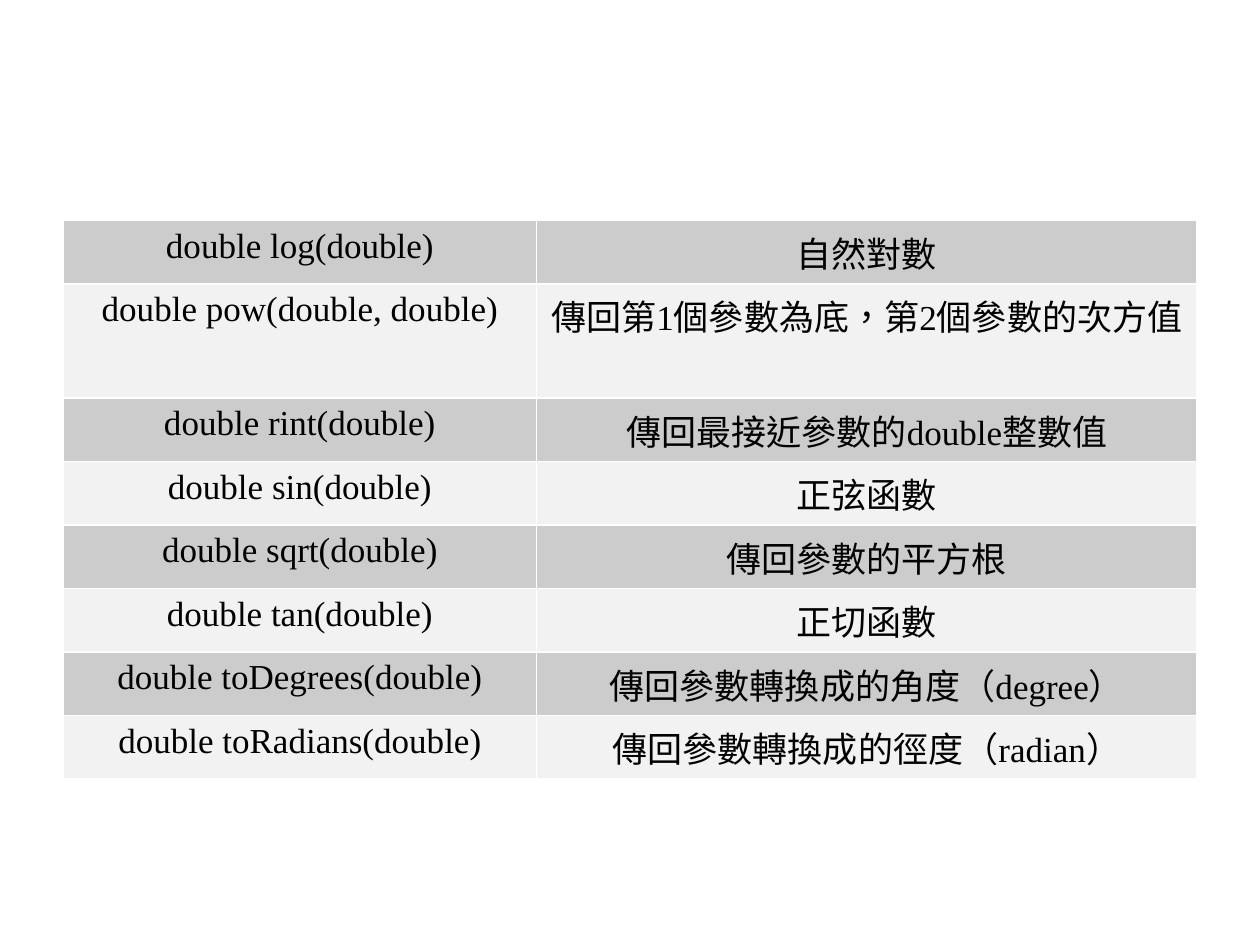
from dataclasses import dataclass

from lxml import etree
from pptx import Presentation
from pptx import oxml
from pptx import util as u
from pptx.dml.color import RGBColor
from pptx.enum import lang, text


@dataclass(frozen=True)
class Theme:
    font: str = "Times New Roman"
    size: float = 20
    ink: str = "000000"
    bands: tuple = ("CCCCCC", "F2F2F2")
    rule: str = "FFFFFF"
    rule_width: float = 0.96


THEME = Theme()
COLUMN_WIDTHS = (3.76, 5.24)
LINE_HEIGHT = 0.44
WRAPPED_HEIGHT = 0.77
HANGING = 0.38
METHODS = (
    ("double log(double)", "自然對數"),
    ("double pow(double, double)", "傳回第1個參數為底，第2個參數的次方值"),
    ("double rint(double)", "傳回最接近參數的double整數值"),
    ("double sin(double)", "正弦函數"),
    ("double sqrt(double)", "傳回參數的平方根"),
    ("double tan(double)", "正切函數"),
    ("double toDegrees(double)", "傳回參數轉換成的角度（degree）"),
    ("double toRadians(double)", "傳回參數轉換成的徑度（radian）"),
)
WRAPPED_ROWS = (1,)


def set_borders(cell):
    properties = cell._tc.get_or_add_tcPr()
    for position, side in enumerate("LRTB"):
        line = etree.Element(oxml.ns.qn(f"a:ln{side}"), w=str(u.Pt(THEME.rule_width)))
        fill = etree.SubElement(line, oxml.ns.qn("a:solidFill"))
        etree.SubElement(fill, oxml.ns.qn("a:srgbClr"), val=THEME.rule)
        properties.insert(position, line)


def write_cell(cell, wording, band):
    cell.fill.solid()
    cell.fill.fore_color.rgb = RGBColor.from_string(band)
    set_borders(cell)
    paragraph = cell.text_frame.paragraphs[0]
    paragraph.alignment = text.PP_ALIGN.CENTER
    indents = paragraph._p.get_or_add_pPr()
    indents.set("marL", str(u.Inches(HANGING)))
    indents.set("indent", str(-u.Inches(HANGING)))
    run = paragraph.add_run()
    run.text = wording
    run.font.name = THEME.font
    run.font.size = u.Pt(THEME.size)
    run.font.color.rgb = RGBColor.from_string(THEME.ink)
    run.font.language_id = lang.MSO_LANGUAGE_ID.TRADITIONAL_CHINESE


def add_method_table(slide):
    heights = [WRAPPED_HEIGHT if row in WRAPPED_ROWS else LINE_HEIGHT
               for row in range(len(METHODS))]
    methods = slide.shapes.add_table(
        len(METHODS), len(COLUMN_WIDTHS), u.Inches(0.5), u.Inches(1.75),
        u.Inches(sum(COLUMN_WIDTHS)), u.Inches(sum(heights))).table
    methods.first_row = False
    methods.horz_banding = False
    for column, width in zip(methods.columns, COLUMN_WIDTHS):
        column.width = u.Inches(width)
    for index, (row, height) in enumerate(zip(methods.rows, heights)):
        row.height = u.Inches(height)
        for cell, wording in zip(row.cells, METHODS[index]):
            write_cell(cell, wording, THEME.bands[index % 2])


def main():
    deck = Presentation()
    deck.slide_width = u.Inches(10)
    deck.slide_height = u.Inches(7.5)
    slide = deck.slides.add_slide(deck.slide_layouts[6])
    add_method_table(slide)
    deck.save("out.pptx")


if __name__ == "__main__":
    main()
